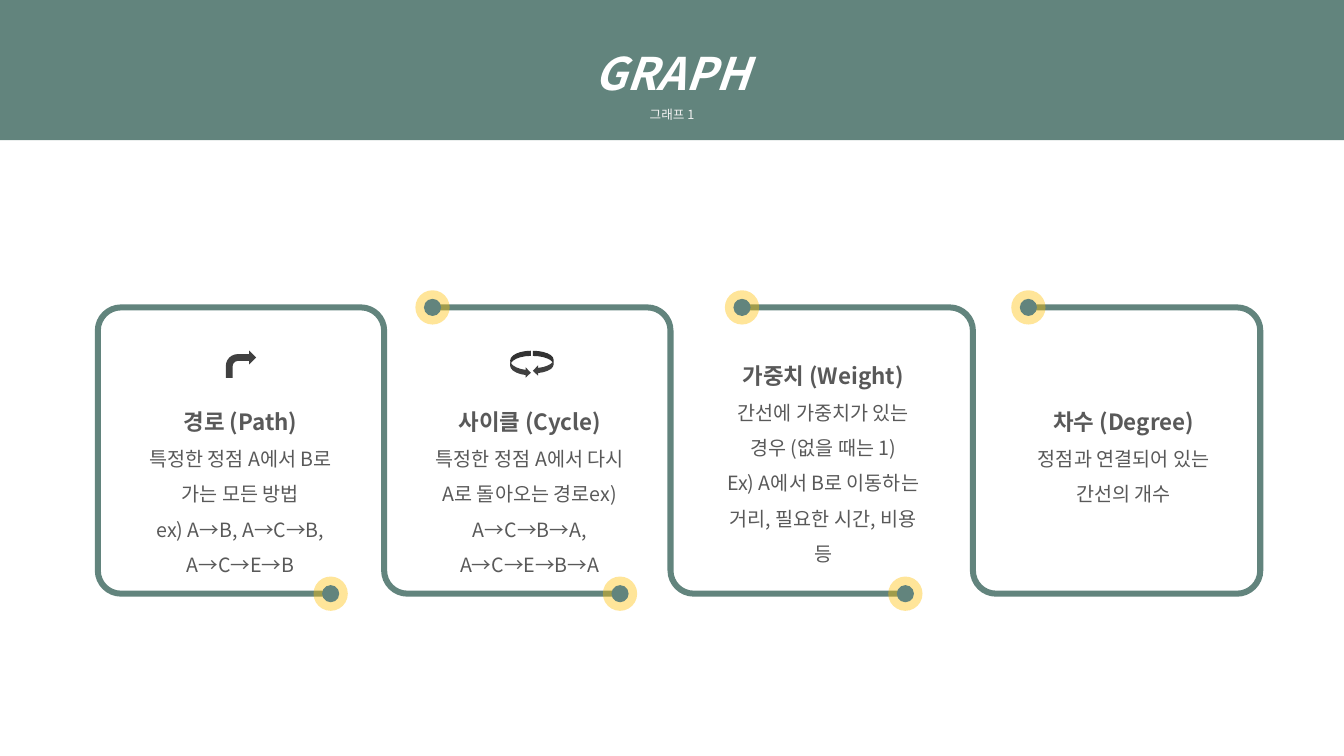
import math
from dataclasses import dataclass

from lxml import etree
from pptx import Presentation
from pptx import util as u
from pptx.dml.color import RGBColor
from pptx.enum import shapes, text
from pptx.oxml import parse_xml
from pptx.oxml.ns import nsdecls, qn


@dataclass(frozen=True)
class Theme:
    font: str = "Noto Sans CJK KR"
    green: str = "62847D"
    white: str = "FFFFFF"
    subtitle: str = "F2F2F2"
    body: str = "595959"
    icon: str = "404040"
    halo: str = "FFC000"
    title_size: int = 32
    subtitle_size: int = 9
    term_size: int = 16
    body_size: int = 14


@dataclass(frozen=True)
class Box:
    left: float
    top: float
    width: float
    height: float

    def emu(self):
        return [u.Inches(v) for v in (self.left, self.top, self.width, self.height)]


THEME = Theme()
BAND = 0.06
CORNER = 0.23
DOT = 0.17
ARC_HANDLE = 0.55


def paint(shape, color):
    shape.shadow.inherit = False
    shape.fill.solid()
    shape.fill.fore_color.rgb = RGBColor.from_string(color)
    shape.line.fill.background()


def add_filled(slide, kind, box, color):
    shape = slide.shapes.add_shape(kind, *box.emu())
    paint(shape, color)
    return shape


def style_paragraph(paragraph, size, color, bold=False, italic=False):
    paragraph.alignment = text.PP_ALIGN.CENTER
    paragraph.line_spacing = 1.5
    for run in paragraph.runs:
        font = run.font
        font.name = THEME.font
        font.size = u.Pt(size)
        font.bold = bold
        font.italic = italic
        font.color.rgb = RGBColor.from_string(color)
        etree.SubElement(font._element, qn("a:ea")).set("typeface", THEME.font)


def draw_header(slide, box, title, subtitle):
    header = add_filled(slide, shapes.MSO_SHAPE.RECTANGLE, box, THEME.green)
    frame = header.text_frame
    frame.text = f"{title}\n{subtitle}"
    frame.vertical_anchor = text.MSO_ANCHOR.MIDDLE
    style_paragraph(frame.paragraphs[0], THEME.title_size, THEME.white, True, True)
    style_paragraph(frame.paragraphs[1], THEME.subtitle_size, THEME.subtitle)


def direction(start, end):
    length = math.dist(start, end)
    return (end[0] - start[0]) / length, (end[1] - start[1]) / length


def ribbon_edge(route, offset):
    def beside(point, heading):
        return point[0] - offset * heading[1], point[1] + offset * heading[0]

    edge = [beside(route[0], direction(*route[:2]))]
    for before, corner, after in zip(route, route[1:], route[2:]):
        (ix, iy), (ox, oy) = direction(before, corner), direction(corner, after)
        radius = CORNER - offset * (ix * oy - iy * ox)
        for along, across in ((0, 1), (ARC_HANDLE, 1), (1, ARC_HANDLE), (1, 0)):
            edge.append((corner[0] + CORNER * (ox - ix) + radius * (along * ix - across * ox),
                         corner[1] + CORNER * (oy - iy) + radius * (along * iy - across * oy)))
    return edge + [beside(route[-1], direction(*route[-2:]))]


def draw_ribbon(slide, route):
    near, far = (ribbon_edge(route, offset) for offset in (BAND / 2, -BAND / 2))
    outline = [(u.Inches(x), u.Inches(y)) for x, y in near + far[::-1]]
    builder = slide.shapes.build_freeform(*outline[0])
    builder.add_line_segments(outline[1:], close=True)
    ribbon = builder.convert_to_shape()
    paint(ribbon, THEME.green)
    segments = list(ribbon._element.iter(qn("a:lnTo")))
    for edge_start in (0, len(near)):
        for first in range(edge_start + 1, edge_start + len(near) - 1, 4):
            handle, *others = segments[first:first + 3]
            curve = etree.Element(qn("a:cubicBezTo"))
            handle.addprevious(curve)
            for segment in (handle, *others):
                curve.append(segment[0])
                segment.getparent().remove(segment)


def draw_dot(slide, center):
    x, y = center
    box = Box(x - DOT / 2, y - DOT / 2, DOT, DOT)
    dot = add_filled(slide, shapes.MSO_SHAPE.OVAL, box, THEME.green)
    effects = dot._element.spPr.find(qn("a:effectLst"))
    effects.append(parse_xml(
        f'<a:outerShdw {nsdecls("a")} blurRad="0" dist="0" dir="0" sx="200000" sy="200000" '
        f'algn="ctr" rotWithShape="0"><a:srgbClr val="{THEME.halo}">'
        '<a:alpha val="40000"/></a:srgbClr></a:outerShdw>'))


def draw_frames(slide, box):
    top, bottom = box.top, box.top + box.height
    first, second, third, fourth, last = (box.left + d for d in (0, 2.84, 5.68, 8.68, 11.53))
    lower_ends = [(box.left + d, bottom) for d in (2.31, 5.18, 8.01)]
    upper_ends = [(box.left + d, top) for d in (3.32, 6.39, 9.23)]
    routes = [
        [lower_ends[0], (first, bottom), (first, top), (second, top),
         (second, bottom), lower_ends[1]],
        [upper_ends[0], (third, top), (third, bottom), lower_ends[2]],
        [upper_ends[1], (fourth, top), (fourth, bottom), (last, bottom),
         (last, top), upper_ends[2]],
    ]
    for route in routes:
        draw_ribbon(slide, route)
    for end in lower_ends + upper_ends:
        draw_dot(slide, end)


def draw_term(slide, box, term, explanation):
    frame = slide.shapes.add_textbox(*box.emu()).text_frame
    frame.word_wrap = True
    frame.auto_size = text.MSO_AUTO_SIZE.SHAPE_TO_FIT_TEXT
    frame.text = "\n".join([term, *explanation])
    heading, *details = frame.paragraphs
    style_paragraph(heading, THEME.term_size, THEME.body, True)
    for detail in details:
        style_paragraph(detail, THEME.body_size, THEME.body)


def draw_path_icon(slide, box):
    add_filled(slide, shapes.MSO_SHAPE.BENT_ARROW, box, THEME.icon)


def draw_cycle_icon(slide, box):
    width = box.width / 2 - 0.01
    add_filled(slide, shapes.MSO_SHAPE.CURVED_RIGHT_ARROW,
               Box(box.left, box.top, width, box.height), THEME.icon)
    add_filled(slide, shapes.MSO_SHAPE.CURVED_LEFT_ARROW,
               Box(box.left + box.width - width, box.top, width, box.height - 0.02), THEME.icon)


TERMS = [
    (Box(1.29, 3.87, 2.19, 1.87), "경로 (Path)",
     ["특정한 정점 A에서 B로 가는 모든 방법", "ex) A→B, A→C→B,", "A→C→E→B"]),
    (Box(4.19, 3.87, 2.13, 1.87), "사이클 (Cycle)",
     ["특정한 정점 A에서 다시 A로 돌아오는 경로ex) A→C→B→A,", "A→C→E→B→A"]),
    (Box(7.07, 3.41, 2.19, 2.23), "가중치 (Weight)",
     ["간선에 가중치가 있는 경우 (없을 때는 1)",
      "Ex) A에서 B로 이동하는 거리, 필요한 시간, 비용 등"]),
    (Box(10.05, 3.87, 2.19, 1.17), "차수 (Degree)",
     ["정점과 연결되어 있는 간선의 개수"]),
]

deck = Presentation()
deck.slide_width, deck.slide_height = u.Inches(13.33), u.Inches(7.5)
graph_slide = deck.slides.add_slide(deck.slide_layouts[6])
draw_header(graph_slide, Box(0, 0, 13.33, 1.39), "GRAPH", "그래프 1")
draw_frames(graph_slide, Box(0.97, 3.05, 11.53, 2.84))
for term_box, term, explanation in TERMS:
    draw_term(graph_slide, term_box, term, explanation)
draw_path_icon(graph_slide, Box(2.24, 3.48, 0.3, 0.27))
draw_cycle_icon(graph_slide, Box(5.06, 3.48, 0.43, 0.27))
deck.save("out.pptx")
